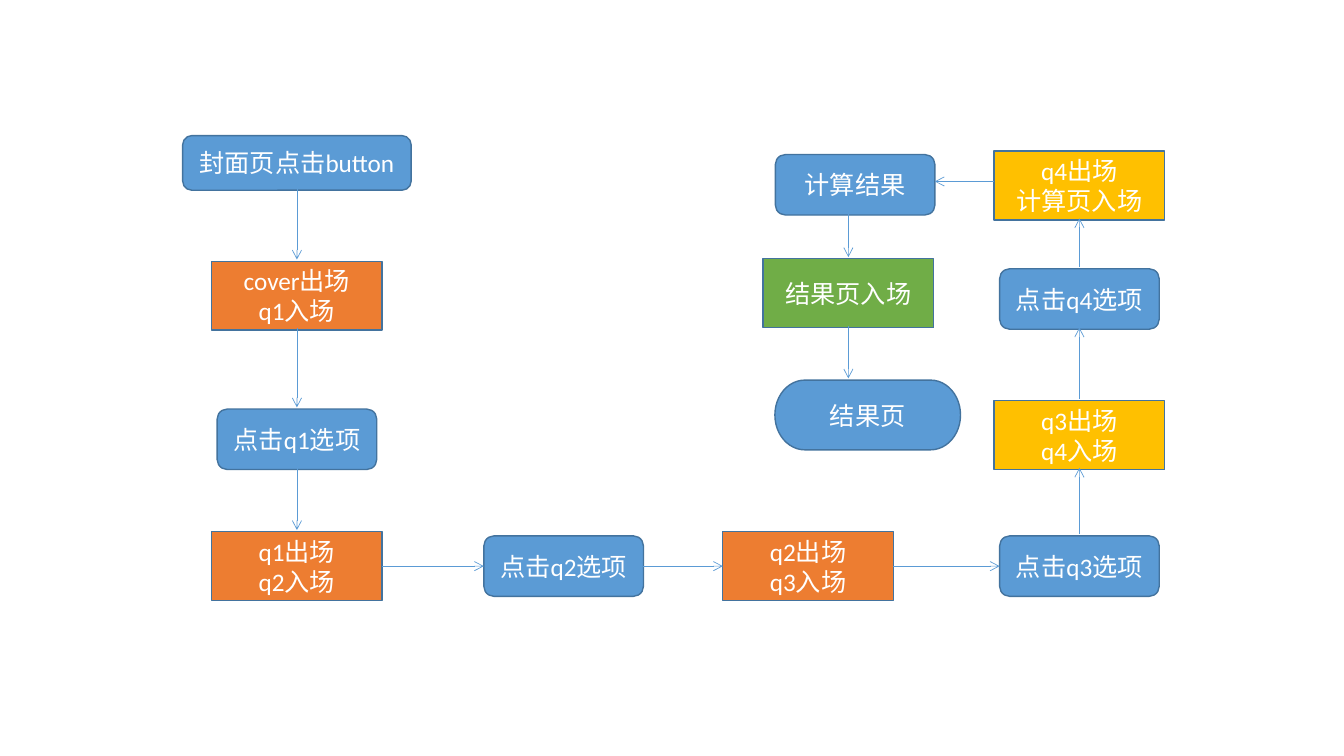
from dataclasses import dataclass
from typing import Any, Optional

from lxml import etree
from pptx import Presentation
from pptx.dml.color import RGBColor
from pptx.enum.shapes import MSO_CONNECTOR, MSO_SHAPE
from pptx.enum.text import MSO_ANCHOR, PP_ALIGN
from pptx.oxml.ns import qn
from pptx.util import Inches, Pt

STEP = MSO_SHAPE.FLOWCHART_ALTERNATE_PROCESS
PAGE = MSO_SHAPE.FLOWCHART_PROCESS
END = MSO_SHAPE.FLOWCHART_TERMINATOR
STRAIGHT = MSO_CONNECTOR.STRAIGHT
CENTER = PP_ALIGN.CENTER
MIDDLE = MSO_ANCHOR.MIDDLE

GRID_COLUMNS, GRID_ROWS = 160, 90
ARROW_LIFT = 0.2


@dataclass(frozen=True)
class Theme:
    blue: str = "5B9BD5"
    orange: str = "ED7D31"
    gold: str = "FFC000"
    green: str = "70AD47"
    outline: str = "43739E"
    text: str = "FFFFFF"
    font: str = "Calibri"
    text_size: float = 18
    outline_width: float = 1
    arrow_width: float = 0.5


@dataclass(frozen=True)
class Kind:
    preset: Any
    width: float
    height: float


@dataclass(frozen=True)
class Node:
    text: str
    kind: Kind
    color: str
    column: float
    row: float


@dataclass(frozen=True)
class Arrow:
    source: str
    target: str
    vertical: bool = True
    lane: Optional[float] = None


THEME = Theme()
START = Kind(STEP, 27.2, 6.5)
CLICK = Kind(STEP, 19, 7.2)
SCENE = Kind(PAGE, 20.3, 8.2)
RESULT = Kind(END, 22.1, 8.3)

LEFT, RIGHT, RESULT_LANE = 35.35, 128.5, 101
BOTTOM = 67.4

NODES = {
    "start": Node("封面页点击button", START, THEME.blue, LEFT, 19.4),
    "q1 in": Node("cover出场\nq1入场", SCENE, THEME.orange, LEFT, 35.2),
    "q1 click": Node("点击q1选项", CLICK, THEME.blue, LEFT, 52.3),
    "q2 in": Node("q1出场\nq2入场", SCENE, THEME.orange, LEFT, BOTTOM),
    "q2 click": Node("点击q2选项", CLICK, THEME.blue, 67.1, BOTTOM),
    "q3 in": Node("q2出场\nq3入场", SCENE, THEME.orange, 96.2, BOTTOM),
    "q3 click": Node("点击q3选项", CLICK, THEME.blue, RIGHT, BOTTOM),
    "q4 in": Node("q3出场\nq4入场", SCENE, THEME.gold, RIGHT, 51.8),
    "q4 click": Node("点击q4选项", CLICK, THEME.blue, RIGHT, 35.6),
    "calculation in": Node("q4出场\n计算页入场", SCENE, THEME.gold, RIGHT, 22.1),
    "calculation": Node("计算结果", CLICK, THEME.blue, 101.8, 22),
    "result in": Node("结果页入场", SCENE, THEME.green, RESULT_LANE, 34.9),
    "result": Node("结果页", RESULT, THEME.blue, 103.3, 49.4),
}

ARROWS = [
    Arrow("start", "q1 in"),
    Arrow("q1 in", "q1 click"),
    Arrow("q1 click", "q2 in"),
    Arrow("q2 in", "q2 click", vertical=False),
    Arrow("q2 click", "q3 in", vertical=False),
    Arrow("q3 in", "q3 click", vertical=False),
    Arrow("q3 click", "q4 in"),
    Arrow("q4 in", "q4 click"),
    Arrow("q4 click", "calculation in"),
    Arrow("calculation in", "calculation", vertical=False, lane=21.6),
    Arrow("calculation", "result in", lane=RESULT_LANE),
    Arrow("result in", "result", lane=RESULT_LANE),
]

presentation = Presentation()
presentation.slide_width = Inches(13.33)
presentation.slide_height = Inches(7.5)
slide = presentation.slides.add_slide(presentation.slide_layouts[6])


def across(columns: float) -> int:
    return round(presentation.slide_width * columns / GRID_COLUMNS)


def down(rows: float) -> int:
    return round(presentation.slide_height * rows / GRID_ROWS)


def apply(target: Any, values: dict[str, Any]) -> None:
    for name, value in values.items():
        setattr(target, name, value)


def draw_node(node: Node) -> None:
    kind = node.kind
    shape = slide.shapes.add_shape(
        kind.preset,
        across(node.column - kind.width / 2),
        down(node.row - kind.height / 2),
        across(kind.width),
        down(kind.height),
    )
    shape.shadow.inherit = False
    shape.fill.solid()
    shape.fill.fore_color.rgb = RGBColor.from_string(node.color)
    shape.line.color.rgb = RGBColor.from_string(THEME.outline)
    shape.line.width = Pt(THEME.outline_width)
    frame = shape.text_frame
    apply(frame, {"text": node.text, "word_wrap": True, "vertical_anchor": MIDDLE})
    for paragraph in frame.paragraphs:
        paragraph.alignment = CENTER
        for run in paragraph.runs:
            apply(run.font, {"name": THEME.font, "size": Pt(THEME.text_size)})
            run.font.color.rgb = RGBColor.from_string(THEME.text)


def facing_edges(start: float, start_size: float, end: float, end_size: float) -> tuple[float, float]:
    direction = 1 if end > start else -1
    return start + direction * start_size / 2, end - direction * end_size / 2


def draw_arrow(arrow: Arrow) -> None:
    source, target = NODES[arrow.source], NODES[arrow.target]
    if arrow.vertical:
        begin, end = facing_edges(source.row, source.kind.height, target.row, target.kind.height)
        lane = across(source.column if arrow.lane is None else arrow.lane)
        points = lane, down(begin - ARROW_LIFT), lane, down(end - ARROW_LIFT)
    else:
        begin, end = facing_edges(source.column, source.kind.width, target.column, target.kind.width)
        lane = down(source.row if arrow.lane is None else arrow.lane)
        points = across(begin), lane, across(end), lane
    connector = slide.shapes.add_connector(STRAIGHT, *points)
    connector.line.color.rgb = RGBColor.from_string(THEME.blue)
    connector.line.width = Pt(THEME.arrow_width)
    properties = connector.element.spPr
    etree.SubElement(properties.find(qn("a:ln")), qn("a:tailEnd"), type="arrow")
    etree.SubElement(properties, qn("a:effectLst"))


for node in NODES.values():
    draw_node(node)
for arrow in ARROWS:
    draw_arrow(arrow)

presentation.save("out.pptx")
